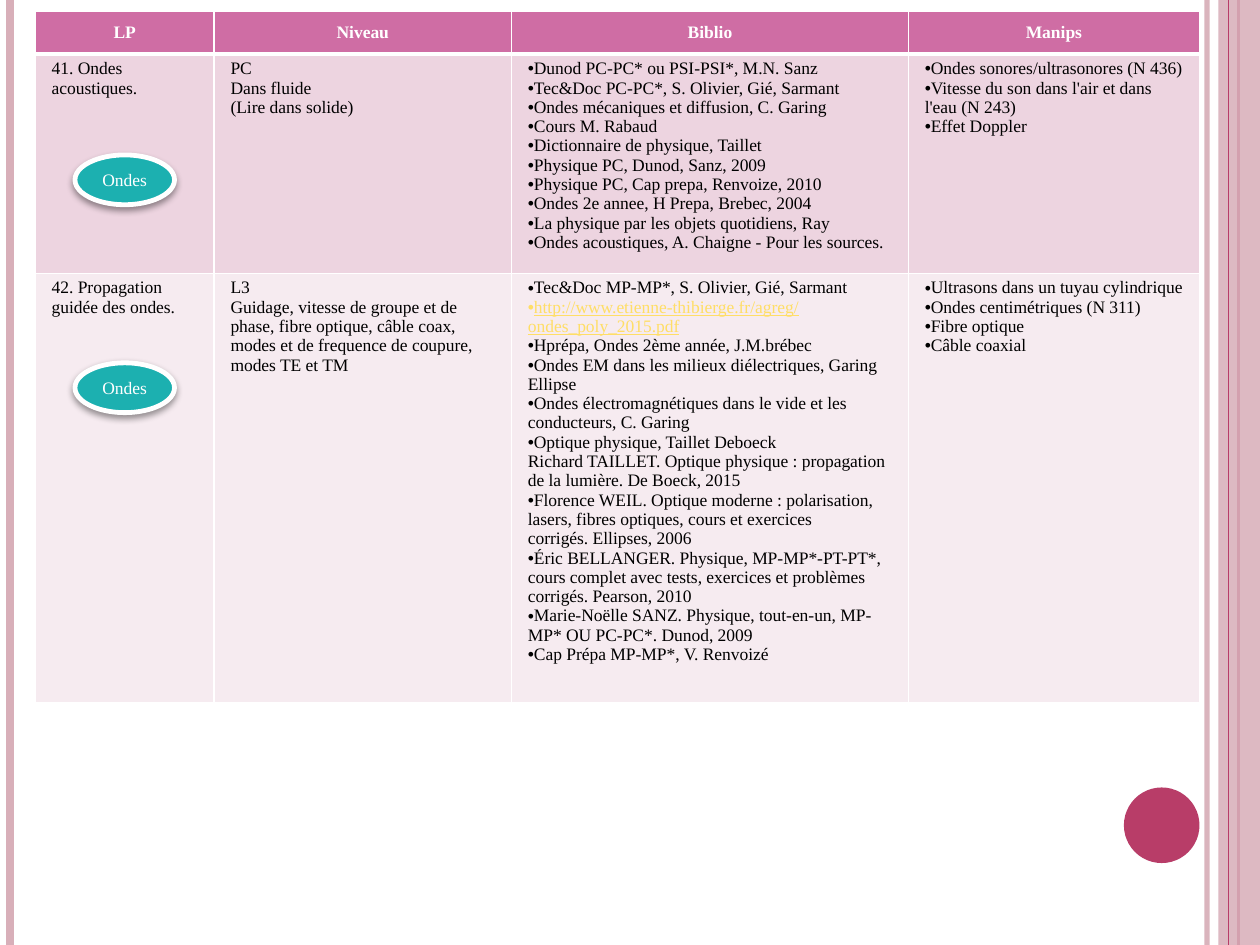
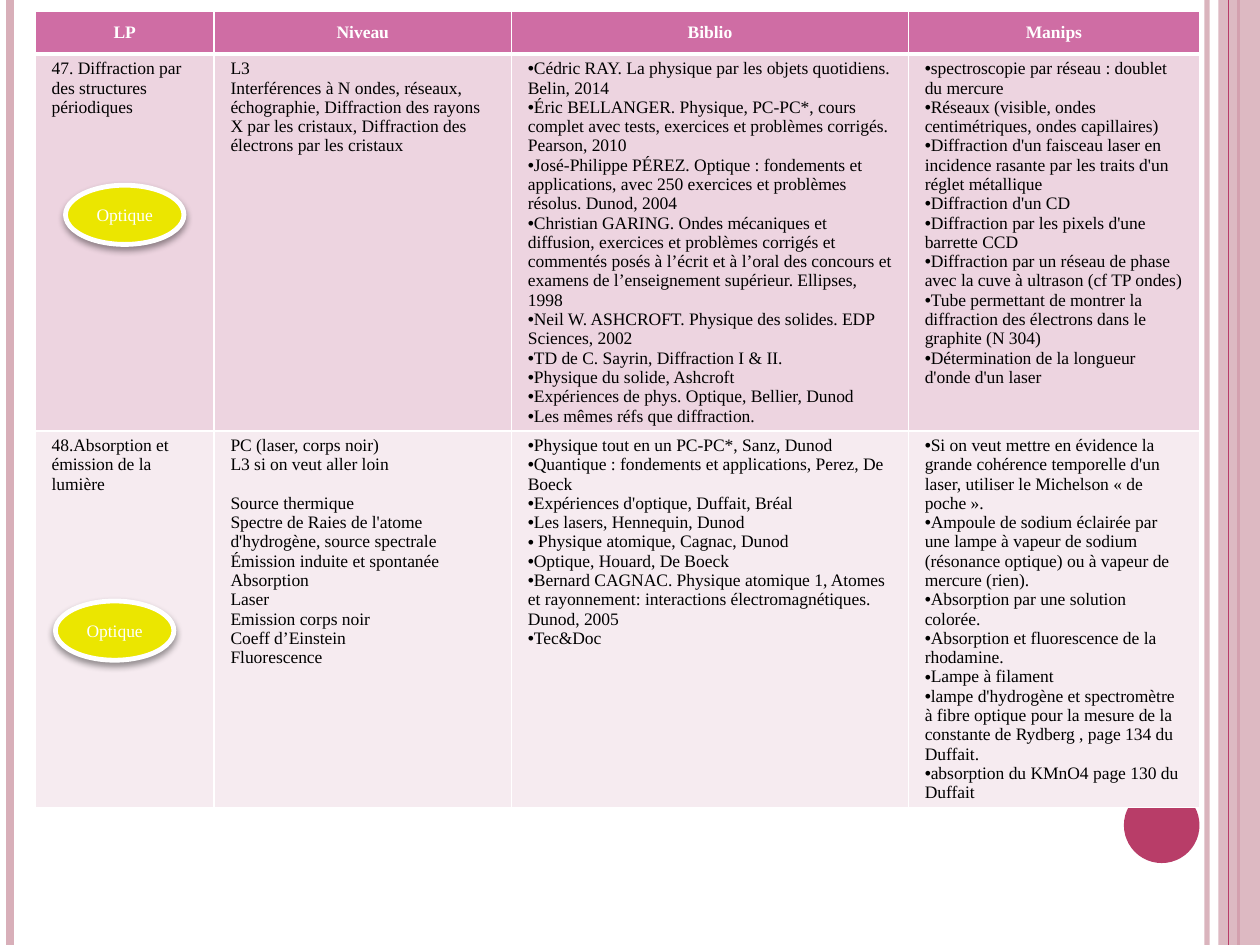
import lxml.etree
import pptx
import pptx.dml.color
import pptx.enum.shapes
import pptx.enum.text
import pptx.oxml.ns
import pptx.util

Inches, Pt = pptx.util.Inches, pptx.util.Pt
RGBColor = pptx.dml.color.RGBColor
MSO_SHAPE = pptx.enum.shapes.MSO_SHAPE
PP_ALIGN = pptx.enum.text.PP_ALIGN
MSO_ANCHOR = pptx.enum.text.MSO_ANCHOR

WHITE = RGBColor(0xFF, 0xFF, 0xFF)
BLACK = RGBColor(0, 0, 0)
ROSE = RGBColor(0xD8, 0xAF, 0xB9)
CRIMSON = RGBColor(0xB8, 0x3D, 0x68)
HEADER_PINK = RGBColor(0xCF, 0x6D, 0xA4)
ROW_PINKS = RGBColor(0xED, 0xD4, 0xE0), RGBColor(0xF6, 0xEB, 0xF0)
LINK_YELLOW = RGBColor(0xFF, 0xDE, 0x66)
TEAL = RGBColor(0x1C, 0xB0, 0xB0)
YELLOW = RGBColor(0xEB, 0xE6, 0x00)

FONT, SIZE = "Times New Roman", Pt(10)
WIDTH, HEIGHT = Inches(10), Inches(7.5)
TABLE_LEFT, TABLE_TOP = 0.28, 0.09
COLUMNS = 1.42, 2.36, 3.15, 2.31
HEADER_HEIGHT = 0.34
HEADINGS = "LP", "Niveau", "Biblio", "Manips"
BULLET, GAP = "•", "¶"  # line prefixes: bulleted, one line of space above

# Each lesson row holds one text per column, one paragraph per line.
WAVES = [
    ("41. Ondes acoustiques.",
     """PC
Dans fluide
(Lire dans solide)""",
     """•Dunod PC-PC* ou PSI-PSI*, M.N. Sanz
•Tec&Doc PC-PC*, S. Olivier, Gié, Sarmant
•Ondes mécaniques et diffusion, C. Garing
•Cours M. Rabaud
•Dictionnaire de physique, Taillet
•Physique PC, Dunod, Sanz, 2009
•Physique PC, Cap prepa, Renvoize, 2010
•Ondes 2e annee, H Prepa, Brebec, 2004
•La physique par les objets quotidiens, Ray
•Ondes acoustiques, A. Chaigne - Pour les sources.""",
     """•Ondes sonores/ultrasonores (N 436)
•Vitesse du son dans l'air et dans l'eau (N 243)
•Effet Doppler"""),
    ("42. Propagation guidée des ondes.",
     """L3
Guidage, vitesse de groupe et de phase, fibre optique, câble coax,
modes et de frequence de coupure, modes TE et TM""",
     """•Tec&Doc MP-MP*, S. Olivier, Gié, Sarmant
•http://www.etienne-thibierge.fr/agreg/ondes_poly_2015.pdf
•Hprépa, Ondes 2ème année, J.M.brébec
•Ondes EM dans les milieux diélectriques, Garing Ellipse
•Ondes électromagnétiques dans le vide et les conducteurs, C. Garing
•Optique physique, Taillet Deboeck
Richard TAILLET. Optique physique : propagation de la lumière. De Boeck, 2015
•Florence WEIL. Optique moderne : polarisation, lasers, fibres optiques, cours et exercices
corrigés. Ellipses, 2006
•Éric BELLANGER. Physique, MP-MP*-PT-PT*, cours complet avec tests, exercices et problèmes
corrigés. Pearson, 2010
•Marie-Noëlle SANZ. Physique, tout-en-un, MP-MP* OU PC-PC*. Dunod, 2009
•Cap Prépa MP-MP*, V. Renvoizé""",
     """•Ultrasons dans un tuyau cylindrique
•Ondes centimétriques (N 311)
•Fibre optique
•Câble coaxial"""),
]
OPTICS = [
    ("47. Diffraction par des structures périodiques",
     """L3
Interférences à N ondes, réseaux, échographie, Diffraction des rayons X par les cristaux, \
Diffraction des électrons par les cristaux""",
     """•Cédric RAY. La physique par les objets quotidiens. Belin, 2014
•Éric BELLANGER. Physique, PC-PC*, cours complet avec tests, exercices et problèmes corrigés. \
Pearson, 2010
•José-Philippe PÉREZ. Optique : fondements et applications, avec 250 exercices et problèmes \
résolus. Dunod, 2004
•Christian GARING. Ondes mécaniques et diffusion, exercices et problèmes corrigés et commentés \
posés à l’écrit et à l’oral des concours et examens de l’enseignement supérieur. Ellipses, 1998
•Neil W. ASHCROFT. Physique des solides. EDP Sciences, 2002
•TD de C. Sayrin, Diffraction I & II.
•Physique du solide, Ashcroft
•Expériences de phys. Optique, Bellier, Dunod
•Les mêmes réfs que diffraction.""",
     """•spectroscopie par réseau : doublet du mercure
•Réseaux (visible, ondes centimétriques, ondes capillaires)
•Diffraction d'un faisceau laser en incidence rasante par les traits d'un réglet métallique
•Diffraction d'un CD
•Diffraction par les pixels d'une barrette CCD
•Diffraction par un réseau de phase avec la cuve à ultrason (cf TP ondes)
•Tube permettant de montrer la diffraction des électrons dans le graphite (N 304)
•Détermination de la longueur d'onde d'un laser"""),
    ("48.Absorption et émission de la lumière",
     """PC (laser, corps noir)
L3 si on veut aller loin
¶Source thermique
Spectre de Raies de l'atome d'hydrogène, source spectrale
Émission induite et spontanée
Absorption
Laser
Emission corps noir
Coeff d’Einstein
Fluorescence""",
     """•Physique tout en un PC-PC*, Sanz, Dunod
•Quantique : fondements et applications, Perez, De Boeck
•Expériences d'optique, Duffait, Bréal
•Les lasers, Hennequin, Dunod
• Physique atomique, Cagnac, Dunod
•Optique, Houard, De Boeck
•Bernard CAGNAC. Physique atomique 1, Atomes et rayonnement: interactions électromagnétiques. \
Dunod, 2005
•Tec&Doc""",
     """•Si on veut mettre en évidence la grande cohérence temporelle d'un laser, utiliser le \
Michelson « de poche ».
•Ampoule de sodium éclairée par une lampe à vapeur de sodium (résonance optique) ou à vapeur \
de mercure (rien).
•Absorption par une solution colorée.
•Absorption et fluorescence de la rhodamine.
•Lampe à filament
•lampe d'hydrogène et spectromètre à fibre optique pour la mesure de la constante de Rydberg \
, page 134 du Duffait.
•absorption du KMnO4 page 130 du Duffait"""),
]


def add_element(parent, tag, **attributes):
    """Append an XML child such as a:ln and return it."""
    child = lxml.etree.SubElement(parent, pptx.oxml.ns.qn(tag))
    for name, value in attributes.items():
        child.set(name, str(value))
    return child


def set_opacity(element, percent):
    """Set the opacity of the first solid colour within an element."""
    color = next(element.iter(pptx.oxml.ns.qn("a:srgbClr")))
    add_element(color, "a:alpha", val=percent * 1000)


def add_run(p, text, color, bold=False, underline=False):
    r = p.add_run()
    r.text = text
    r.font.name, r.font.size = FONT, SIZE
    r.font.bold, r.font.underline = bold, underline
    r.font.color.rgb = color


def add_rule(slide, x_share, color, weight, opacity=100):
    """Draw a full-height vertical line."""
    x = round(WIDTH * x_share)
    line = slide.shapes.add_connector(
        pptx.enum.shapes.MSO_CONNECTOR.STRAIGHT, x, 0, x, HEIGHT)
    line.line.color.rgb = color
    line.line.width = Pt(weight)
    if opacity < 100:
        set_opacity(line._element.spPr, opacity)
    add_element(line._element.spPr, "a:effectLst")


def add_plain_shape(slide, kind, left, top, width, height, color):
    sp = slide.shapes.add_shape(kind, *map(Inches, (left, top, width, height)))
    sp.shadow.inherit = False
    sp.fill.solid()
    sp.fill.fore_color.rgb = color
    sp.line.fill.background()
    return sp


def add_frame(slide):
    """Draw the side bands and the disc found on every slide."""
    add_rule(slide, 0.958, ROSE, 3, opacity=93)
    add_rule(slide, 0.008, ROSE, 4.5)
    add_rule(slide, 0.983, CRIMSON, 1.5)
    band = add_plain_shape(slide, MSO_SHAPE.RECTANGLE, 9.67, 0, 0.33, 7.5, ROSE)
    set_opacity(band._element.spPr, 87)
    add_rule(slide, 0.975, CRIMSON, 0.75)
    add_plain_shape(slide, MSO_SHAPE.OVAL, 8.92, 6.25, 0.6, 0.6, CRIMSON)


def add_topic(slide, label, color, center_x, top, width):
    """Draw a topic ellipse, half as high as wide."""
    sp = add_plain_shape(slide, MSO_SHAPE.OVAL, center_x - width / 2, top,
                         width, width / 2, color)
    sp.line.color.rgb = WHITE
    sp.line.width = Pt(2.75)
    effects = sp._element.spPr.find(pptx.oxml.ns.qn("a:effectLst"))
    shadow = add_element(effects, "a:outerShdw", blurRad=Pt(4), dist=Pt(2),
                         dir=90 * 60000, rotWithShape=0)
    add_element(shadow, "a:srgbClr", val=BLACK)
    set_opacity(shadow, 40)
    tf = sp.text_frame
    tf.word_wrap = False
    tf.vertical_anchor = MSO_ANCHOR.MIDDLE
    p = tf.paragraphs[0]
    p.alignment = PP_ALIGN.CENTER
    add_run(p, label, WHITE)


def style_cell(cell, color, top=1, bottom=1):
    """Set margins, white borders (points) and the fill."""
    cell.margin_left = cell.margin_right = Inches(0.13)
    cell.margin_top = cell.margin_bottom = Inches(0.04)
    tcPr = cell._tc.get_or_add_tcPr()
    for side, weight in zip("LRTB", (1, 1, top, bottom)):
        ln = add_element(tcPr, f"a:ln{side}", w=Pt(weight))
        add_element(add_element(ln, "a:solidFill"), "a:srgbClr", val=WHITE)
    cell.fill.solid()
    cell.fill.fore_color.rgb = color


def fill_cell(cell, text):
    tf = cell.text_frame
    for i, line in enumerate(text.split("\n")):
        p = tf.add_paragraph() if i else tf.paragraphs[0]
        if line.startswith(BULLET):
            pPr = p._p.get_or_add_pPr()
            pPr.set("marL", "0")
            pPr.set("indent", "0")
            add_element(pPr, "a:buFont", typeface="Arial")
            add_element(pPr, "a:buChar", char=BULLET)
        elif line.startswith(GAP):
            p.space_before = Pt(11)
        line = line.lstrip(BULLET + GAP)
        is_link = line.startswith("http")
        add_run(p, line, LINK_YELLOW if is_link else BLACK, underline=is_link)


def add_lessons(slide, lessons, row_heights):
    heights = (HEADER_HEIGHT, *row_heights)
    table = slide.shapes.add_table(
        len(heights), len(COLUMNS), Inches(TABLE_LEFT), Inches(TABLE_TOP),
        Inches(sum(COLUMNS)), Inches(sum(heights))).table
    for column, width in zip(table.columns, COLUMNS):
        column.width = Inches(width)
    for row, height in zip(table.rows, heights):
        row.height = Inches(height)
    for c, heading in enumerate(HEADINGS):
        cell = table.cell(0, c)
        style_cell(cell, HEADER_PINK, bottom=3)
        cell.vertical_anchor = MSO_ANCHOR.MIDDLE
        p = cell.text_frame.paragraphs[0]
        p.alignment = PP_ALIGN.CENTER
        add_run(p, heading, WHITE, bold=True)
    for r, lesson in enumerate(lessons, 1):
        for c, text in enumerate(lesson):
            cell = table.cell(r, c)
            style_cell(cell, ROW_PINKS[r - 1], top=3 if r == 1 else 1)
            fill_cell(cell, text)


def add_lesson_slide(prs, lessons, row_heights, label, color, width, places):
    """Add a slide; places gives each ellipse's centre x and top."""
    s = prs.slides.add_slide(prs.slide_layouts[6])
    add_frame(s)
    add_lessons(s, lessons, row_heights)
    for center_x, top in places:
        add_topic(s, label, color, center_x, top, width)


def main():
    prs = pptx.Presentation()
    prs.slide_width, prs.slide_height = WIDTH, HEIGHT
    middle = TABLE_LEFT + COLUMNS[0] / 2
    add_lesson_slide(prs, WAVES, (1.74, 3.41), "Ondes", TEAL, 0.79,
                     [(middle, 1.23), (middle, 2.88)])
    add_lesson_slide(prs, OPTICS, (2.98, 2.98), "Optique", YELLOW, 0.94,
                     [(middle, 1.47), (middle - 0.08, 4.77)])
    prs.save("out.pptx")


if __name__ == "__main__":
    main()
